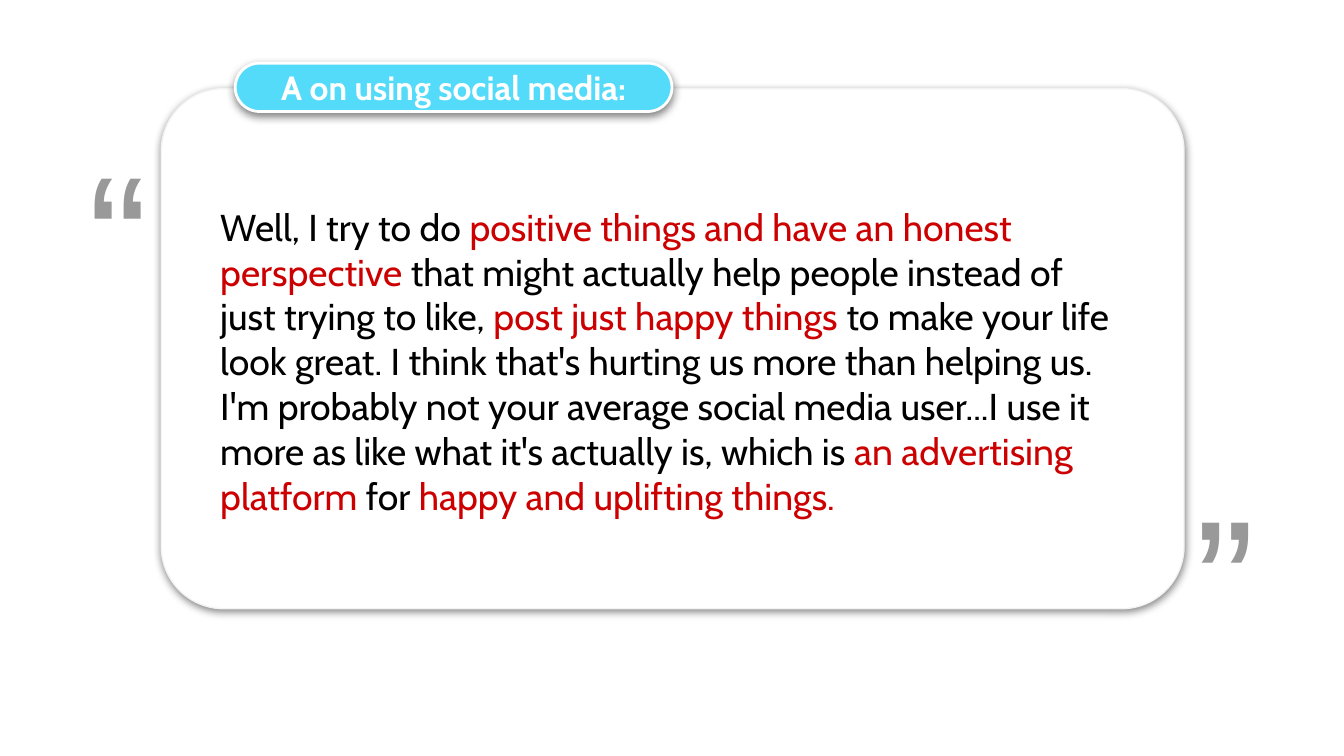
from lxml import etree
from pptx import Presentation
from pptx.dml.color import RGBColor
from pptx.enum import shapes, text
from pptx.oxml.ns import qn
from pptx.util import Inches, Pt

BLACK, RED, GREY, WHITE = "000000", "CC0000", "999999", "FFFFFF"


def rgb(color):
    return RGBColor.from_string(color)


def add_rounded(s, left, top, width, height, adj, fill, line, line_width):
    """Rounded rectangle with a soft shadow just below it."""
    sp = s.shapes.add_shape(shapes.MSO_SHAPE.ROUNDED_RECTANGLE, Inches(left),
                            Inches(top), Inches(width), Inches(height))
    sp.adjustments[0] = adj
    sp.fill.solid()
    sp.fill.fore_color.rgb = rgb(fill)
    sp.line.color.rgb = rgb(line)
    sp.line.width = Pt(line_width)
    sp.shadow.inherit = False
    effects = sp._element.spPr.find(qn("a:effectLst"))
    shadow = etree.SubElement(effects, qn("a:outerShdw"), blurRad=str(Pt(4.5)),
                              dist=str(Pt(1.5)), dir="5400000", algn="bl", rotWithShape="0")
    color = etree.SubElement(shadow, qn("a:srgbClr"), val=BLACK)
    etree.SubElement(color, qn("a:alpha"), val="50000")
    return sp


# Widescreen 16:9 slide
prs = Presentation()
prs.slide_width, prs.slide_height = Inches(10), Inches(10 * 9 / 16)
s = prs.slides.add_slide(prs.slide_layouts[6])

# Card behind the quotation
add_rounded(s, 1.2, 0.66, 7.61, 3.87, 0.12, WHITE, "F3F3F3", 0.75)

# Quotation with its key phrases in red
quote = [
    ("Well, I try to do ", BLACK),
    ("positive things and have an honest perspective", RED),
    (" that might actually help people instead of just trying to like, ", BLACK),
    ("post just happy things", RED),
    (" to make your life look great. I think that's hurting us more than helping us. "
     "I'm probably not your average social media user...I use it more as like what "
     "it's actually is, which is ", BLACK),
    ("an advertising platform", RED),
    (" for ", BLACK),
    ("happy and uplifting things.", RED),
]
sp = s.shapes.add_textbox(Inches(1.54), Inches(1.05), Inches(6.91), Inches(3.27))
tf = sp.text_frame
tf.word_wrap = True
tf.vertical_anchor = text.MSO_ANCHOR.MIDDLE
tf.margin_top = tf.margin_bottom = Inches(0.1)
p = tf.paragraphs[0]
p.space_after = Pt(10)
p.font.name, p.font.size = "Cabin", Pt(20)
for words, color in quote:
    r = p.add_run()
    r.text = words
    r.font.color.rgb = rgb(color)

# Label on the card's top edge
sp = add_rounded(s, 1.75, 0.47, 3.25, 0.36, 0.5, "54DBFA", WHITE, 1.5)
tf = sp.text_frame
tf.vertical_anchor = text.MSO_ANCHOR.MIDDLE
tf.margin_top = tf.margin_bottom = Inches(0.1)
p = tf.paragraphs[0]
p.text = "A on using social media:"
p.alignment = text.PP_ALIGN.CENTER
p.font.name, p.font.size, p.font.bold = "Cabin", Pt(18), True
p.font.color.rgb = rgb(WHITE)

# Large quotation marks on either side
marks = [
    ("“", 0, 0, 2.62, text.MSO_ANCHOR.BOTTOM, text.PP_ALIGN.RIGHT),
    ("”", 8.8, 3.38, 2.24, text.MSO_ANCHOR.TOP, text.PP_ALIGN.LEFT),
]
for mark, left, top, height, anchor, align in marks:
    sp = s.shapes.add_textbox(Inches(left), Inches(top), Inches(1.2), Inches(height))
    tf = sp.text_frame
    tf.word_wrap = True
    tf.vertical_anchor = anchor
    tf.margin_top = tf.margin_bottom = Inches(0.1)
    p = tf.paragraphs[0]
    p.text = mark
    p.alignment = align
    p.font.name, p.font.size = "Arial", Pt(96)
    p.font.color.rgb = rgb(GREY)

prs.save("out.pptx")
